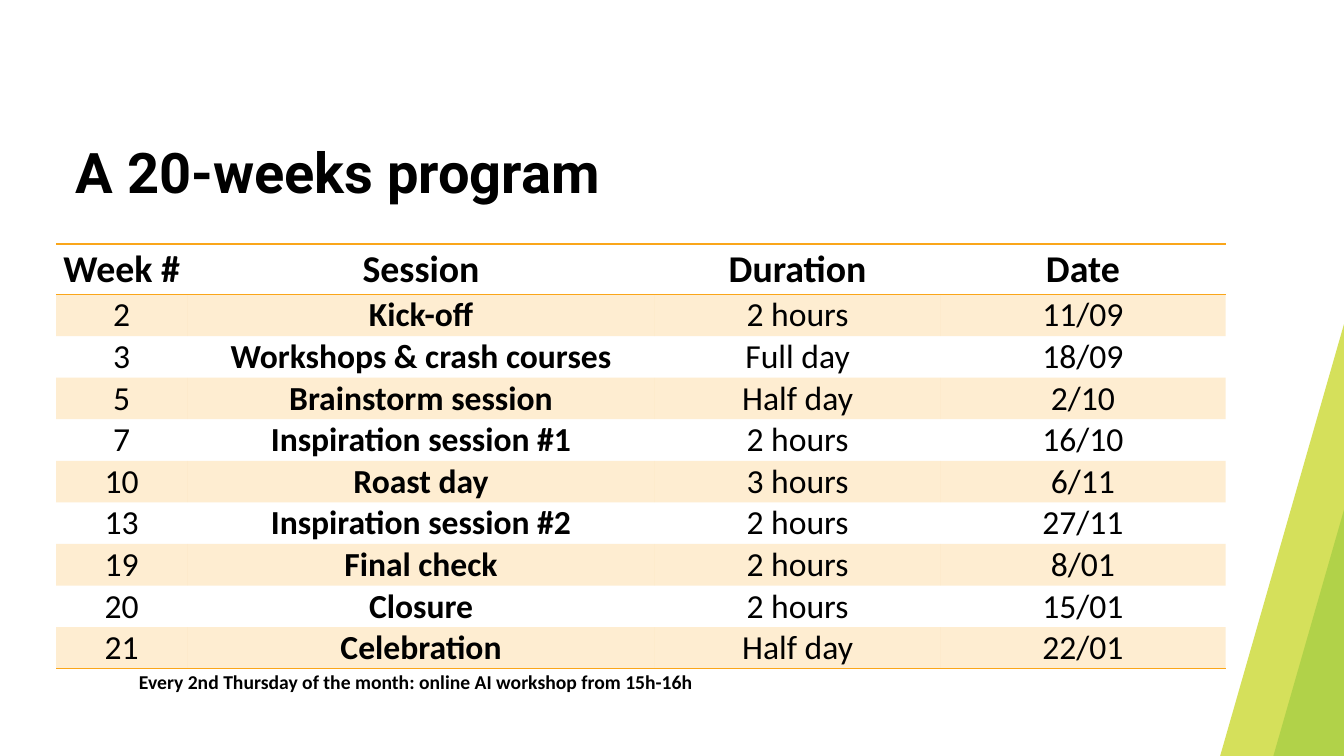
from lxml import etree
from pptx import Presentation
from pptx.dml.color import RGBColor
from pptx.enum import shapes, text
from pptx.oxml.ns import qn
from pptx.util import Pt

TITLE = "A 20-weeks program"
HEADINGS = ("Week #", "Session", "Duration", "Date")
SESSIONS = [
    ("2", "Kick-off", "2 hours", "11/09"),
    ("3", "Workshops & crash courses", "Full day", "18/09"),
    ("5", "Brainstorm session", "Half day", "2/10"),
    ("7", "Inspiration session #1", "2 hours", "16/10"),
    ("10", "Roast day", "3 hours", "6/11"),
    ("13", "Inspiration session #2", "2 hours", "27/11"),
    ("19", "Final check", "2 hours", "8/01"),
    ("20", "Closure", "2 hours", "15/01"),
    ("21", "Celebration", "Half day", "22/01"),
]
NOTE = "Every 2nd Thursday of the month: online AI workshop from 15h-16h"

COLORS = {"text": "000000", "accent": "FAA61A", "lime": "D5E05B", "green": "B1D249"}
# left, top, width, height of the slanted bands
BANDS = [("lime", (918, 195.1, 50.4, 373)), ("green", (937.4, 327.6, 64.1, 239.8))]
BAND_ANGLE = 16
TABLE_LEFT, TABLE_TOP = 40.1, 174.3
COLUMN_WIDTHS = (93.6, 334.1, 203.8, 203.8)
HEADER_HEIGHT, ROW_HEIGHT = 36, 29.7
HEADER_INSETS, ROW_INSETS = (3.6, 1.4, 3.6, 1.4), (0.7, 0.4, 0.7, 0)
NO_STYLE = "{2D5ABB26-0587-4C30-8999-92F81FD0307C}"


def rgb(name):
    return RGBColor.from_string(COLORS[name])


def style_font(paragraph, size, bold=True, name="Calibri"):
    font = paragraph.runs[0].font
    font.size, font.bold, font.name = Pt(size), bold, name
    font.color.rgb = rgb("text")


def set_insets(box, insets):
    box.margin_left, box.margin_top, box.margin_right, box.margin_bottom = map(Pt, insets)


def add_border(cell, side):
    border = etree.SubElement(cell._tc.get_or_add_tcPr(), qn(f"a:ln{side}"), w=str(Pt(1)))
    fill = etree.SubElement(border, qn("a:solidFill"))
    etree.SubElement(fill, qn("a:srgbClr"), val=COLORS["accent"])


def fill_band(cell, opacity=20):
    cell.fill.solid()
    cell.fill.fore_color.rgb = rgb("accent")
    color = cell._tc.tcPr.find(qn("a:solidFill")).find(qn("a:srgbClr"))
    etree.SubElement(color, qn("a:alpha"), val=str(opacity * 1000))


def add_bands(slide):
    for color, place in BANDS:
        band = slide.shapes.add_shape(shapes.MSO_SHAPE.RECTANGLE, *map(Pt, place))
        band.rotation = BAND_ANGLE
        band.shadow.inherit = False
        band.fill.solid()
        band.fill.fore_color.rgb = rgb(color)
        band.line.fill.background()


def add_program(slide):
    rows = [HEADINGS, *SESSIONS]
    height = HEADER_HEIGHT + ROW_HEIGHT * len(SESSIONS)
    program = slide.shapes.add_table(
        len(rows), len(HEADINGS), Pt(TABLE_LEFT), Pt(TABLE_TOP),
        Pt(sum(COLUMN_WIDTHS)), Pt(height)).table
    program._tbl.tblPr.find(qn("a:tableStyleId")).text = NO_STYLE
    program.horz_banding = False
    for column, width in zip(program.columns, COLUMN_WIDTHS):
        column.width = Pt(width)
    for r, row in enumerate(rows):
        header = r == 0
        program.rows[r].height = Pt(HEADER_HEIGHT if header else ROW_HEIGHT)
        for c, value in enumerate(row):
            cell = program.cell(r, c)
            cell.text_frame.text = value
            cell.vertical_anchor = text.MSO_ANCHOR.MIDDLE
            set_insets(cell, HEADER_INSETS if header else ROW_INSETS)
            paragraph = cell.text_frame.paragraphs[0]
            paragraph.alignment = text.PP_ALIGN.CENTER
            style_font(paragraph, 27 if header else 24, bold=header or c == 1)
            if header:
                add_border(cell, "T")
            if header or r == len(SESSIONS):
                add_border(cell, "B")
            if r % 2:
                fill_band(cell)
            else:
                cell.fill.background()


def add_title(slide):
    title = slide.shapes.title
    title.left, title.top, title.width, title.height = map(Pt, (46.8, 97.9, 828.7, 104.4))
    frame = title.text_frame
    frame.text = TITLE
    frame.vertical_anchor = text.MSO_ANCHOR.TOP
    frame.auto_size = text.MSO_AUTO_SIZE.NONE
    heading = frame.paragraphs[0]
    heading.alignment = text.PP_ALIGN.LEFT
    heading.line_spacing = Pt(45)
    style_font(heading, 40, name="Roboto")


def add_note(slide):
    frame = slide.shapes.add_textbox(*map(Pt, (92.2, 475.2, 412.6, 24.5))).text_frame
    frame.text = NOTE
    frame.word_wrap = False
    frame.auto_size = text.MSO_AUTO_SIZE.SHAPE_TO_FIT_TEXT
    style_font(frame.paragraphs[0], 14)


def main():
    deck = Presentation()
    deck.slide_width, deck.slide_height = Pt(960), Pt(540)
    slide = deck.slides.add_slide(deck.slide_layouts[5])
    add_bands(slide)
    add_program(slide)
    add_title(slide)
    add_note(slide)
    deck.save("out.pptx")


if __name__ == "__main__":
    main()
